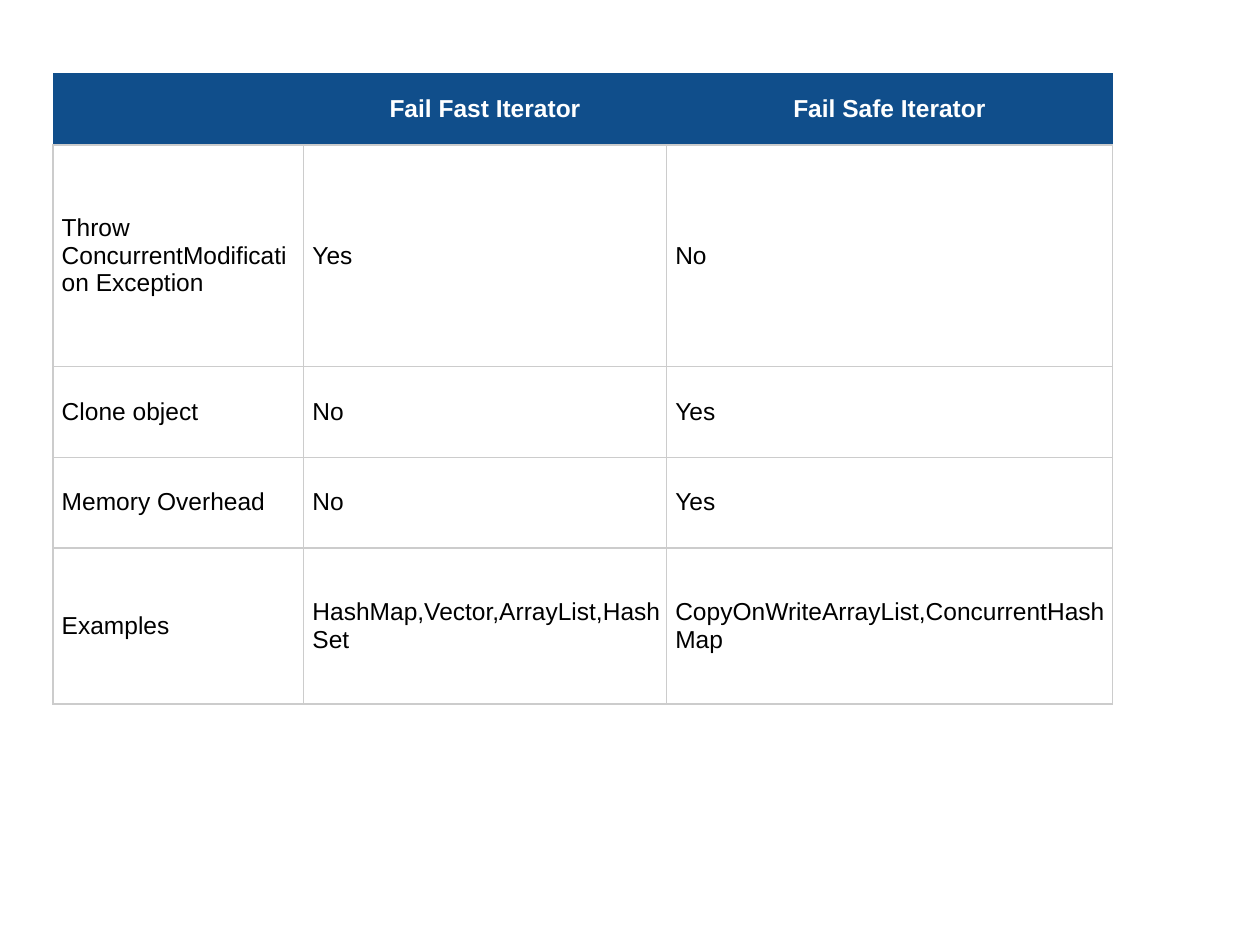
from lxml.etree import SubElement
from pptx import Presentation
from pptx.dml.color import RGBColor
from pptx.enum.text import MSO_ANCHOR, PP_ALIGN
from pptx.oxml.ns import qn
from pptx.util import Inches, Pt

ROWS = [
    ("", "Fail Fast Iterator", "Fail Safe Iterator"),
    ("Throw ConcurrentModification Exception", "Yes", "No"),
    ("Clone object", "No", "Yes"),
    ("Memory Overhead", "No", "Yes"),
    ("Examples", "HashMap,Vector,ArrayList,HashSet",
     "CopyOnWriteArrayList,ConcurrentHashMap"),
]
COLUMN_WIDTHS = (1.99, 2.88, 3.54)
ROW_HEIGHTS = (0.57, 1.76, 0.72, 0.72, 1.24)
LEFT, TOP = 0.42, 0.58

NAVY = RGBColor(0x10, 0x4E, 0x8B)
WHITE = RGBColor(0xFF, 0xFF, 0xFF)
BLACK = RGBColor(0, 0, 0)
GRID_GREY = RGBColor(0xCC, 0xCC, 0xCC)


def set_borders(cell, visible_sides):
    """Draw the named sides in grey and switch the others off."""
    properties = cell._tc.get_or_add_tcPr()
    for side in "LRTB":
        border = SubElement(properties, qn(f"a:ln{side}"), w=str(Pt(1)))
        if side in visible_sides:
            paint = SubElement(border, qn("a:solidFill"))
            SubElement(paint, qn("a:srgbClr"), val=str(GRID_GREY))
        else:
            SubElement(border, qn("a:noFill"))


def fill_cell(cell, text, is_header):
    set_borders(cell, "B" if is_header else "LRTB")
    cell.fill.solid()
    cell.fill.fore_color.rgb = NAVY if is_header else WHITE
    cell.vertical_anchor = MSO_ANCHOR.MIDDLE
    inset = Inches(0.01 if is_header else 0.04)
    cell.margin_right = cell.margin_top = cell.margin_bottom = inset
    cell.margin_left = inset if is_header else Inches(0.07)

    cell.text_frame.text = text
    paragraph = cell.text_frame.paragraphs[0]
    paragraph.alignment = PP_ALIGN.CENTER if is_header else PP_ALIGN.LEFT
    paragraph.line_spacing = Pt(15.6)
    if not is_header:
        paragraph.space_before = paragraph.space_after = Pt(2.2)
    for run in paragraph.runs:
        run.font.name = "Arial"
        run.font.size = Pt(14)
        run.font.bold = is_header
        run.font.color.rgb = WHITE if is_header else BLACK


def main():
    presentation = Presentation()
    presentation.slide_width = Inches(10)
    presentation.slide_height = Inches(7.5)
    slide = presentation.slides.add_slide(presentation.slide_layouts[6])

    comparison = slide.shapes.add_table(
        len(ROWS), len(COLUMN_WIDTHS), Inches(LEFT), Inches(TOP),
        Inches(sum(COLUMN_WIDTHS)), Inches(sum(ROW_HEIGHTS))).table
    comparison.horz_banding = False
    for column, width in zip(comparison.columns, COLUMN_WIDTHS):
        column.width = Inches(width)
    for index, (row, height, texts) in enumerate(
            zip(comparison.rows, ROW_HEIGHTS, ROWS)):
        row.height = Inches(height)
        for cell, text in zip(row.cells, texts):
            fill_cell(cell, text, is_header=index == 0)

    presentation.save("out.pptx")


if __name__ == "__main__":
    main()
